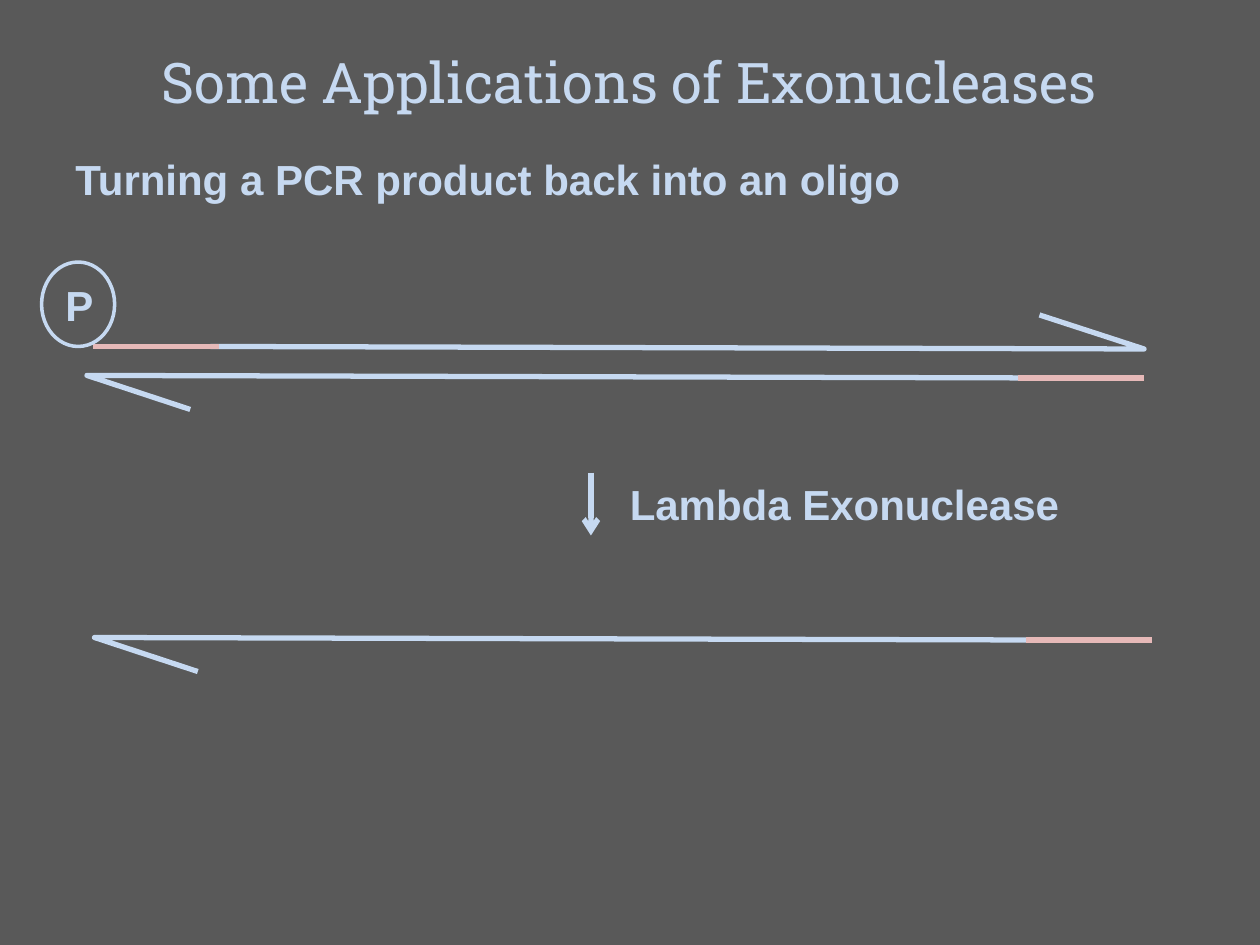
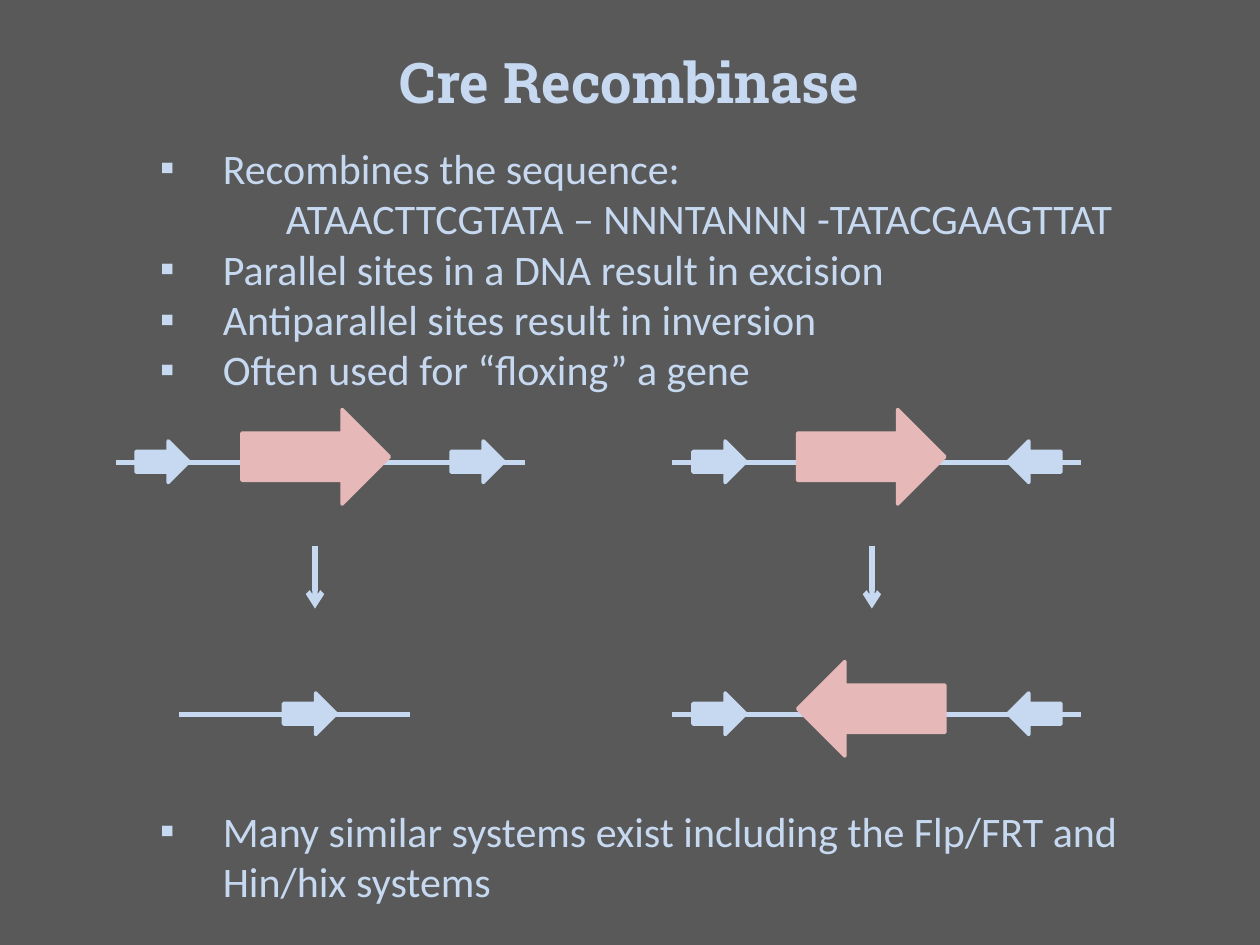
from lxml import etree
from pptx import Presentation
from pptx.dml.color import RGBColor
from pptx.enum.dml import MSO_FILL
from pptx.enum.shapes import MSO_CONNECTOR, MSO_SHAPE
from pptx.enum.text import MSO_AUTO_SIZE, PP_ALIGN
from pptx.oxml.ns import qn
from pptx.util import Inches, Pt

STRAIGHT = MSO_CONNECTOR.STRAIGHT
OVAL = MSO_SHAPE.OVAL
HEADS = {">": MSO_SHAPE.RIGHT_ARROW, "<": MSO_SHAPE.LEFT_ARROW}
FIT = MSO_AUTO_SIZE.SHAPE_TO_FIT_TEXT
SOLID = MSO_FILL.SOLID
COLORS = {"back": "595959", "blue": "C6D9F1", "pink": "E6B9B8"}

# Slide 1: tip, far end and barb of each strand; start of each primer
TITLE_1 = "Some Applications of Exonucleases"
LABELS = [
    ("Turning a PCR product back into an oligo", (0.5, 1.17, 8.67, 0.5), True),
    ("P", (0.42, 2.17, 0.43, 0.5), False),
    ("Lambda Exonuclease", (4.9, 3.75, 3.64, 0.5), False),
]
STRANDS = [
    ((8.1, 3), (0.69, 2.98), (1.51, 3.25)),
    ((1.67, 2.75), (9.08, 2.77), (8.25, 2.5)),
    ((8.16, 5.08), (0.75, 5.06), (1.57, 5.33)),
]
PRIMERS = [(0.74, 2.75), (8.08, 3), (8.14, 5.08)]
PHOSPHATE = (0.33, 2.08, 0.58, 0.67)

# Slide 2: text and bullet flag
TITLE_2 = "Cre Recombinase"
FACTS = [
    ("Recombines the sequence:", True),
    ("ATAACTTCGTATA – NNNTANNN -TATACGAAGTTAT", False),
    ("Parallel sites in a DNA result in excision", True),
    ("Antiparallel sites result in inversion", True),
    ("Often used for “floxing” a gene", True),
]
MORE = [("Many similar systems exist including the Flp/FRT and "
         "Hin/hix systems", True)]
# DNA start, end, height; then (left, direction) of sites and of the gene
DNAS = [
    (0.92, 4.17, 3.67, [(1.08, ">"), (3.58, ">")], [(1.92, ">")]),
    (1.42, 3.25, 5.67, [(2.25, ">")], []),
    (5.33, 8.58, 3.67, [(5.5, ">"), (8, "<")], [(6.33, ">")]),
    (5.33, 8.58, 5.67, [(5.5, ">"), (8, "<")], [(6.33, "<")]),
]
SITE = (0.42, 0.33, 0.17, "blue")
GENE = (1.17, 0.75, 0.42, "pink")


def rgb(name):
    return RGBColor.from_string(COLORS[name])


def stroke(shape, color, width):
    shape.line.color.rgb = rgb(color)
    shape.line.width = Pt(width)


def add_text(slide, box, lines, font, size, bold=False, wrap=True, align=None):
    """Lines are (text, bullet), where bullet None means plain."""
    frame = slide.shapes.add_textbox(*map(Inches, box)).text_frame
    frame.word_wrap = wrap
    frame.auto_size = FIT
    for i, (text, bullet) in enumerate(lines):
        para = frame.add_paragraph() if i else frame.paragraphs[0]
        para.text = text
        if bullet is not None:
            indent(para, bullet)
        if align is not None:
            para.alignment = align
        for run in para.runs:
            run.font.name = font
            run.font.size = Pt(size)
            run.font.bold = bold
            run.font.color.rgb = rgb("blue")


def indent(para, bullet):
    props = para._p.get_or_add_pPr()
    props.set("marL", str(Inches(0.5 if bullet else 1)))
    props.set("indent", str(Inches(-0.5 if bullet else 0)))
    if bullet:
        etree.SubElement(props, qn("a:buFont")).set("typeface", "Arial")
        etree.SubElement(props, qn("a:buChar")).set("char", "▪")


def add_line(slide, x1, y1, x2, y2, color="blue", arrow=False):
    ends = map(Inches, (x1, y1, x2, y2))
    line = slide.shapes.add_connector(STRAIGHT, *ends)
    stroke(line, color, 3)
    if arrow:
        tail = etree.SubElement(line.line._get_or_add_ln(), qn("a:tailEnd"))
        tail.set("type", "arrow")
    etree.SubElement(line._element.spPr, qn("a:effectLst"))


def add_step(slide, x, y):
    add_line(slide, x, y, x, y + 0.5, arrow=True)


def add_form(slide, kind, box, color, fill=SOLID):
    shape = slide.shapes.add_shape(kind, *map(Inches, box))
    shape.shadow.inherit = False
    if fill == SOLID:
        shape.fill.solid()
        shape.fill.fore_color.rgb = rgb(color)
    else:
        shape.fill.background()
    stroke(shape, color, 2)


def add_strand(slide, points):
    start, *rest = [tuple(map(Inches, point)) for point in points]
    path = slide.shapes.build_freeform(*start)
    path.add_line_segments(rest, close=False)
    shape = path.convert_to_shape()
    shape.shadow.inherit = False
    shape.fill.background()
    stroke(shape, "blue", 3)


def add_dna(slide, start, end, y, sites, genes):
    add_line(slide, start, y, end, y)
    for parts, (wide, high, rise, color) in ((sites, SITE), (genes, GENE)):
        for left, way in parts:
            add_form(slide, HEADS[way], (left, y - rise, wide, high), color)


def new_slide(deck, title, bold):
    slide = deck.slides.add_slide(deck.slide_layouts[6])
    slide.background.fill.solid()
    slide.background.fill.fore_color.rgb = rgb("back")
    add_text(slide, (0, 0.33, 10, 0.64), [(title, None)], "Roboto Slab", 32,
             bold, align=PP_ALIGN.CENTER)
    return slide


def draw_exo(deck):
    slide = new_slide(deck, TITLE_1, False)
    for points in STRANDS:
        add_strand(slide, points)
    for x, y in PRIMERS:
        add_line(slide, x, y, x + 1, y, "pink")
    for text, box, wrap in LABELS:
        add_text(slide, box, [(text, None)], "Arial", 24, True, wrap)
    add_form(slide, OVAL, PHOSPHATE, "blue", fill=None)
    add_step(slide, 4.69, 3.75)


def draw_cre(deck):
    slide = new_slide(deck, TITLE_2, True)
    for top, high, lines in ((1.08, 2.12, FACTS), (6.34, 0.91, MORE)):
        add_text(slide, (1.17, top, 8.67, high), lines, "Calibri", 24)
    for dna in DNAS:
        add_dna(slide, *dna)
    for x in (2.5, 6.92):
        add_step(slide, x, 4.33)


def main():
    deck = Presentation()
    deck.slide_width, deck.slide_height = Inches(10), Inches(7.5)
    draw_exo(deck)
    draw_cre(deck)
    deck.save("out.pptx")


if __name__ == "__main__":
    main()
